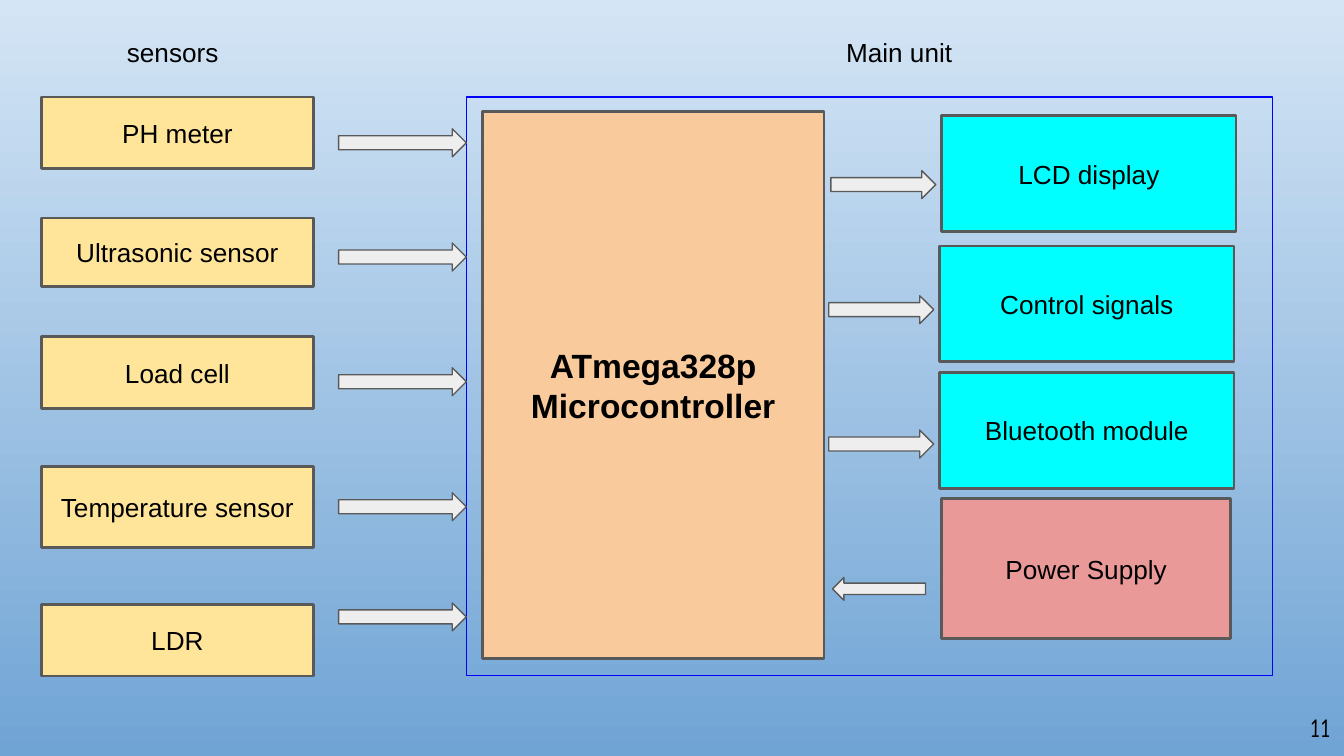
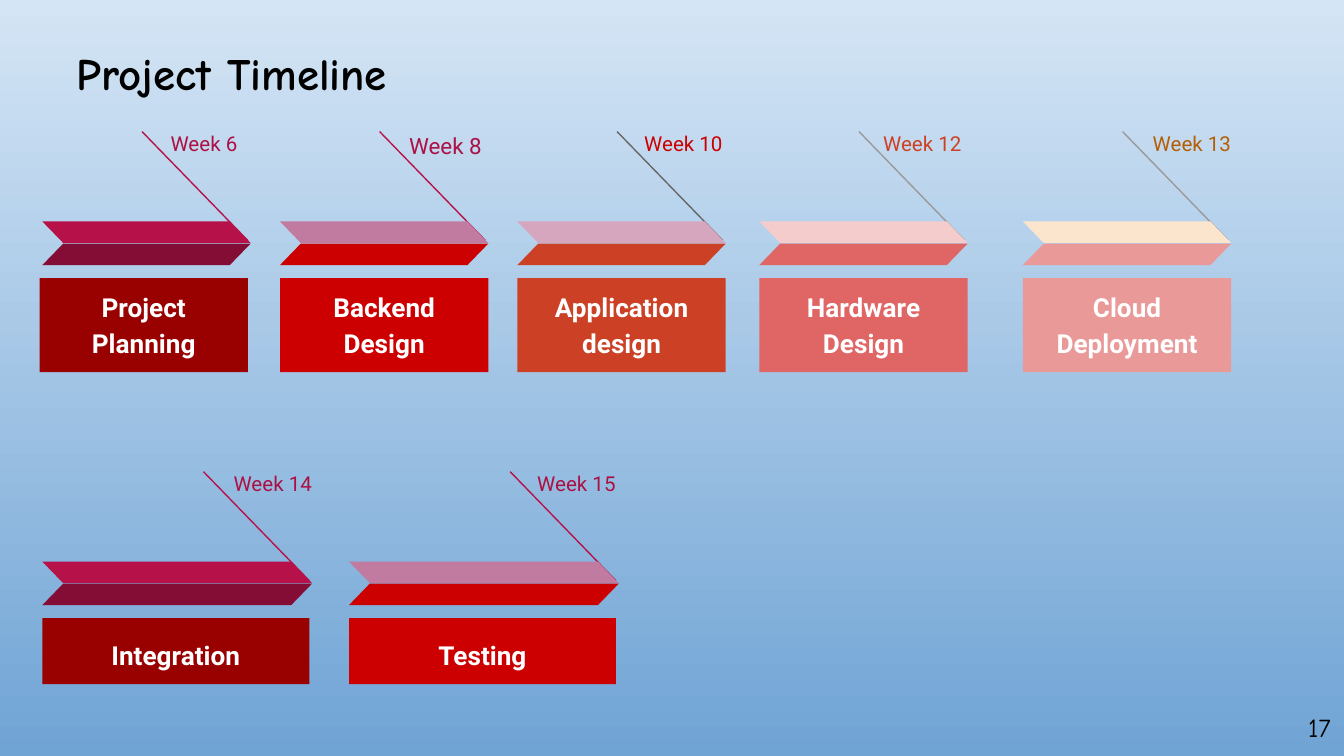
from dataclasses import dataclass

from lxml import etree
from pptx import Presentation
from pptx.dml.color import RGBColor
from pptx.enum import shapes, text
from pptx.oxml import ns
from pptx.util import Pt

FORM = shapes.MSO_SHAPE
ALIGN = text.PP_ALIGN
ANCHOR = text.MSO_ANCHOR


@dataclass(frozen=True)
class Theme:
    sky_top: str = "D4E5F5"
    sky_bottom: str = "70A4D5"
    ink: str = "000000"
    paper: str = "FFFFFF"
    outline: str = "595959"
    frame: str = "0000FF"
    controller: str = "F9CB9C"
    sensor: str = "FFE599"
    output: str = "00FFFF"
    supply: str = "EA9999"
    arrow: str = "EEEEEE"
    body_font: str = "Arial"
    title_font: str = "Comic Neue"
    timeline_font: str = "Roboto"
    title_size: float = 24
    controller_size: float = 18
    body_size: float = 14
    week_size: float = 11
    thick: float = 1.5
    thin: float = 0.75
    inset: float = 7.2


def assign(target, values):
    for name, value in values.items():
        setattr(target, name, value)


class Deck:
    """Holds the style, the current slide and the shapes being added to."""

    def __init__(self, theme):
        self.theme = theme
        self.show = Presentation()
        assign(self.show, {"slide_width": Pt(720), "slide_height": Pt(405)})

    def new_slide(self, number):
        theme = self.theme
        self.slide = self.show.slides.add_slide(self.show.slide_layouts[6])
        self.canvas = self.slide.shapes
        sky = self.slide.background.fill
        sky.gradient()
        sky.gradient_angle = 270
        for stop, position, color in zip(
            sky.gradient_stops, (0, 1), (theme.sky_top, theme.sky_bottom)
        ):
            stop.position = position
            stop.color.rgb = RGBColor.from_string(color)
        self.label((676.8, 374, 43.2, 31), str(number), font=theme.title_font,
                   align=ALIGN.RIGHT, anchor=ANCHOR.MIDDLE)

    def start_group(self):
        self.canvas = self.slide.shapes.add_group_shape().shapes

    def set_text(self, holder, lines, size=None, font=None, color=None, bold=False,
                 align=ALIGN.CENTER, anchor=ANCHOR.TOP, spacing=None):
        theme = self.theme
        frame = holder.text_frame
        assign(frame, {"word_wrap": True, "vertical_anchor": anchor})
        assign(frame, {f"margin_{side}": Pt(theme.inset)
                       for side in ("left", "top", "right", "bottom")})
        frame.text = lines
        for paragraph in frame.paragraphs:
            assign(paragraph, {"alignment": align, "line_spacing": spacing})
            run_font = paragraph.runs[0].font
            assign(run_font, {"name": font or theme.body_font,
                              "size": Pt(size or theme.body_size), "bold": bold})
            run_font.color.rgb = RGBColor.from_string(color or theme.ink)

    def label(self, place, lines, **style):
        self.set_text(self.canvas.add_textbox(*map(Pt, place)), lines, **style)

    def shape(self, form, place, fill=None, line=None, width=None):
        item = self.canvas.add_shape(form, *map(Pt, place))
        item.shadow.inherit = False
        for paint, color in ((item.fill, fill), (item.line.fill, line)):
            if color:
                paint.solid()
                paint.fore_color.rgb = RGBColor.from_string(color)
            else:
                paint.background()
        if line:
            item.line.width = Pt(width or self.theme.thick)
        return item

    def block(self, place, lines, fill, **style):
        """Outlined box with centred text."""
        item = self.shape(FORM.RECTANGLE, place, fill, self.theme.outline)
        self.set_text(item, lines, anchor=ANCHOR.MIDDLE, **style)

    def arrow(self, place, form=FORM.RIGHT_ARROW):
        self.shape(form, place, self.theme.arrow, self.theme.outline, self.theme.thin)

    def band(self, place, fill, flipped=False):
        item = self.shape(FORM.PARALLELOGRAM, place, fill)
        item.adjustments[0] = 0.97
        if flipped:
            item._element.spPr.xfrm.set("flipH", "1")

    def line(self, start, end, color):
        item = self.canvas.add_connector(
            shapes.MSO_CONNECTOR.STRAIGHT, *map(Pt, (*start, *end)))
        item.line.width = Pt(self.theme.thin)
        item.line.color.rgb = RGBColor.from_string(color)
        etree.SubElement(item._element.spPr, ns.qn("a:effectLst"))

    def milestone(self, left, top, band_width, card, week, colors):
        """One step: pointer line, two bands, name card and week label."""
        theme = self.theme
        pointer, upper, lower, card_fill, week_color = colors
        name, card_shift, card_width, card_height = card
        week_name, week_shift, week_size = week
        right = left + band_width
        self.start_group()
        self.line((right - 58.2, top), (right - 1.6, top + 58.3), pointer)
        self.band((left, top + 48.2, band_width, 11.5), upper, flipped=True)
        self.band((left, top + 60, band_width, 11.5), lower)
        box = self.shape(FORM.RECTANGLE, (left + card_shift, top + 78.5,
                                          card_width, card_height), card_fill)
        self.set_text(box, name, font=theme.timeline_font, color=theme.paper,
                      bold=True, anchor=ANCHOR.BOTTOM, spacing=1.15)
        self.label((right + week_shift - 60, top - 9.3, 60, 20), week_name,
                   size=week_size, font=theme.timeline_font, color=week_color,
                   align=ALIGN.RIGHT, spacing=1.15)


def block_diagram(deck):
    theme = deck.theme
    deck.new_slide(11)
    deck.label((22.3, 12.2, 140.4, 31.7), "sensors")
    deck.label((409, 12.2, 145.4, 31.7), "Main unit")
    deck.shape(FORM.RECTANGLE, (249.8, 52, 432, 310), None, theme.frame, theme.thin)
    deck.block((258.5, 59.8, 183, 293), "ATmega328p\nMicrocontroller",
               theme.controller, size=theme.controller_size, bold=True)

    sensors = (
        ("PH meter", 52, 38.2, 69),
        ("Ultrasonic sensor", 116.8, 36.6, 130.2),
        ("Load cell", 180.5, 38.2, 197),
        ("Temperature sensor", 249.8, 43.4, 264),
        ("LDR", 324, 38.2, 323),
    )
    for name, top, height, arrow_top in sensors:
        deck.block((22.3, top, 145.5, height), name, theme.sensor)
        deck.arrow((181.4, arrow_top, 68.4, 15))

    outputs = (
        ("LCD display", 504.5, 62, 91.4),
        ("Control signals", 503.4, 131.8, 158.4),
        ("Bluetooth module", 503.4, 199.6, 230.4),
    )
    for name, left, top, arrow_top in outputs:
        deck.block((left, top, 157.7, 62), name, theme.output)
        deck.arrow((left - 59.4, arrow_top, 56.2, 15))

    deck.block((504.5, 267.2, 154.8, 74.8), "Power Supply", theme.supply)
    deck.arrow((446, 309.4, 49.8, 12.2), FORM.LEFT_ARROW)


def project_timeline(deck):
    theme = deck.theme
    deck.new_slide(17)
    deck.label((33.8, 17.3, 214.6, 44), "Project Timeline", size=theme.title_size,
               font=theme.title_font, bold=True, align=ALIGN.LEFT)

    plum = ("B61249", "B61249", "840D35", "990000", "AC1145")
    red = ("B61249", "C27BA0", "CC0000", "CC0000", "AC1145")
    rust = ("666666", "D5A6BD", "CC4125", "CC4125", "CC0000")
    coral = ("999999", "F4CCCC", "E06666", "E06666", "CC4125")
    peach = ("999999", "FCE5CD", "EA9999", "EA9999", "B45F06")
    small = theme.week_size
    first_row = (
        (22.7, "Project Planning", -1.5, "Week 6", 0, small, plum),
        (150, "Backend Design", 0, "Week 8", 3.6, 12, red),
        (277.2, "Application design", 0, "Week 10", 5.4, small, rust),
        (406.8, "Hardware Design", 0, "Week 12", 3.8, small, coral),
        (548, "Cloud Deployment", 0, "Week 13", 7, small, peach),
    )
    second_row = (
        (22.7, "Integration", 0, "Week 14", 7, small, plum),
        (187, "Testing", 0, "Week 15", 5.4, small, red),
    )
    rows = (
        (first_row, 70.5, 111.6, 111.6, 50.4),
        (second_row, 252.7, 144.5, 143, 35.3),
    )
    for steps, top, band_width, card_width, card_height in rows:
        for left, name, shift, week, week_shift, week_size, colors in steps:
            deck.milestone(left, top, band_width,
                           (name, shift, card_width, card_height),
                           (week, week_shift, week_size), colors)


def main():
    deck = Deck(Theme())
    block_diagram(deck)
    project_timeline(deck)
    deck.show.save("out.pptx")


if __name__ == "__main__":
    main()
